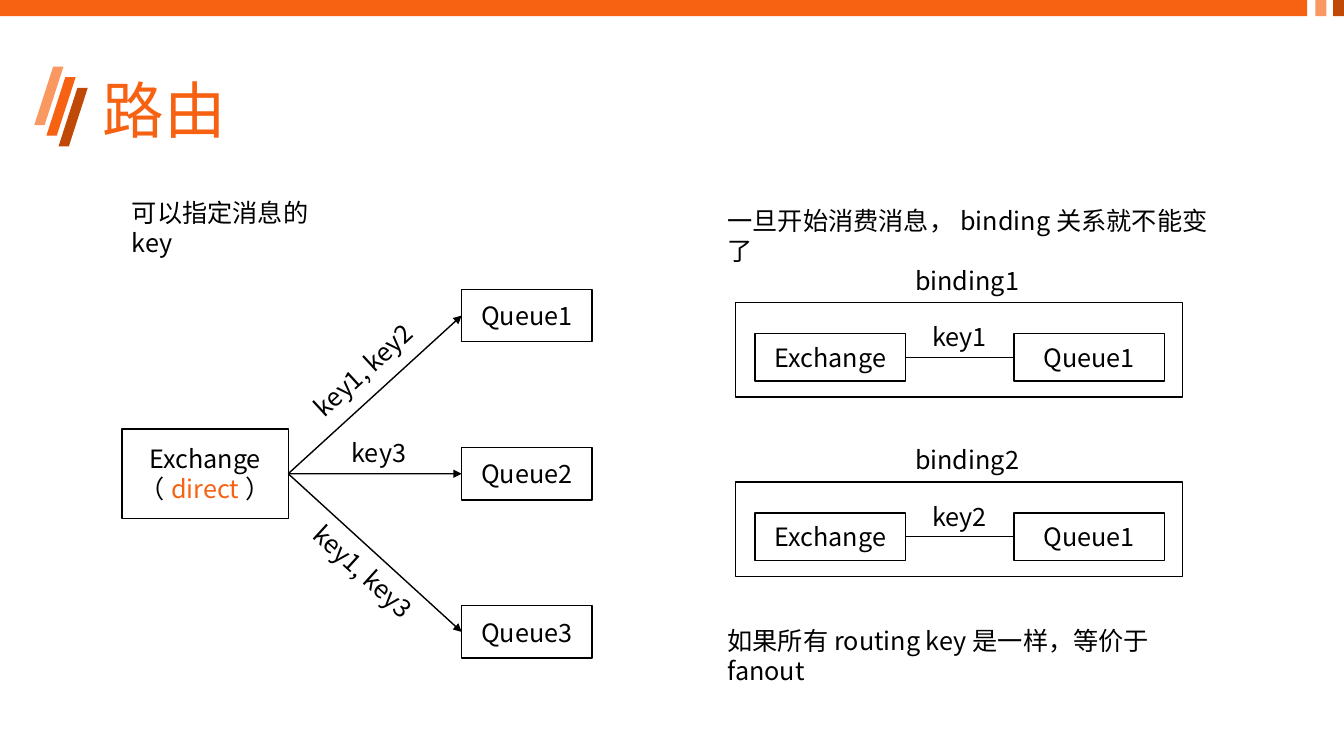
from lxml.etree import SubElement
from pptx import Presentation
from pptx.dml.color import RGBColor
from pptx.enum.shapes import MSO_CONNECTOR, MSO_SHAPE
from pptx.enum.text import MSO_ANCHOR, PP_ALIGN
from pptx.oxml.ns import qn
from pptx.util import Pt

FONT = "Noto Sans CJK SC"
BLACK = RGBColor(0, 0, 0)
WHITE = RGBColor(255, 255, 255)
ORANGE = RGBColor(0xF7, 0x62, 0x12)
LIGHT = RGBColor(0xFA, 0x98, 0x62)
DARK = RGBColor(0xC1, 0x49, 0x07)

TITLE = "路由"
# Parts between bars take the accent colour
SOURCE = ["Exchange", "（|direct|）"]
QUEUES = ["Queue1", "Queue2", "Queue3"]
# text, left, top, width, rotation
KEYS = [
    ("key1, key2", 208.8, 249.8, 101.5, 317.5),
    ("key1, key3", 208.8, 393.8, 101.5, 42.4),
    ("key3", 244.1, 308.9, 53.3, 0),
]
# text, left, top, width
NOTES = [
    ("可以指定消息的key", 87.1, 137.5, 165),
    ("一旦开始消费消息，binding关系就不能变了", 512.6, 143.3, 369.4),
    ("如果所有routing key是一样，等价于fanout", 512.6, 442.8, 364.3),
]
BINDINGS = [("binding1", "key1"), ("binding2", "key2")]

MID = 338.4          # middle of the routing diagram
QUEUE_GAP = 113      # from one queue to the next
FRAME_TOP, FRAME_GAP = 216, 128.2
LABEL_H = 28.8

prs = Presentation()
prs.slide_width, prs.slide_height = Pt(960), Pt(540)
slide = prs.slides.add_slide(prs.slide_layouts[6])


def write(frame, lines, size=18, color=BLACK, align=PP_ALIGN.LEFT):
    for i, line in enumerate(lines):
        para = frame.paragraphs[0] if i == 0 else frame.add_paragraph()
        para.alignment = align
        font = para.font
        font.size, font.name = Pt(size), FONT
        font.color.rgb = color
        props = para._p.pPr.find(qn("a:defRPr"))
        SubElement(props, qn("a:ea")).set("typeface", FONT)
        for j, part in enumerate(line.split("|")):
            run = para.add_run()
            run.text = part
            if j % 2:
                run.font.color.rgb = ORANGE


def shape(kind, left, top, width, height, fill):
    item = slide.shapes.add_shape(kind, Pt(left), Pt(top), Pt(width), Pt(height))
    item.shadow.inherit = False
    item.fill.solid()
    item.fill.fore_color.rgb = fill
    item.line.fill.background()
    return item


def box(left, top, width, height, lines=()):
    """Add a white, black-edged box with centred text."""
    item = shape(MSO_SHAPE.RECTANGLE, left, top, width, height, WHITE)
    item.line.color.rgb = BLACK
    item.line.width = Pt(1)
    item.text_frame.vertical_anchor = MSO_ANCHOR.MIDDLE
    write(item.text_frame, lines, align=PP_ALIGN.CENTER)
    return item


def label(text, left, top, width, height=LABEL_H, wrap=False, **style):
    item = slide.shapes.add_textbox(Pt(left), Pt(top), Pt(width), Pt(height))
    item.text_frame.word_wrap = wrap
    write(item.text_frame, [text], **style)
    return item


def link(start, end, arrow=False):
    """Join the right side of start to the left side of end."""
    line = slide.shapes.add_connector(MSO_CONNECTOR.STRAIGHT, 0, 0, 0, 0)
    line.begin_connect(start, 3)
    line.end_connect(end, 1)
    line.line.color.rgb = BLACK
    line.line.width = Pt(1)
    if arrow:
        SubElement(line.line._get_or_add_ln(), qn("a:tailEnd")).set("type", "triangle")
    SubElement(line._element.spPr, qn("a:effectLst"))


# Header
for i, color in enumerate([LIGHT, ORANGE, DARK]):
    slash = shape(MSO_SHAPE.PARALLELOGRAM, 24.5 + 8.65 * i, 47.5 + 7.6 * i, 20.9, 41.8, color)
    slash.adjustments[0] = 0.646
for left, width, color in [(0, 933.8, ORANGE), (939.6, 7.9, LIGHT), (952.3, 7.7, DARK)]:
    shape(MSO_SHAPE.RECTANGLE, left, 0, width, 11.5, color)
title = label(TITLE, 66.2, 28.8, 828, 104.4, wrap=True, size=44, color=ORANGE)
title.text_frame.vertical_anchor = MSO_ANCHOR.MIDDLE
title.text_frame.paragraphs[0].line_spacing = 0.9

# Routing diagram
source = box(87.1, MID - 32, 118.8, 64, SOURCE)
for i, name in enumerate(QUEUES):
    queue = box(329.8, MID + (i - 1) * QUEUE_GAP - 18.7, 93, 37.4, [name])
    link(source, queue, arrow=True)
for text, left, top, width, angle in KEYS:
    label(text, left, top, width).rotation = angle

# Bindings
for i, (name, key) in enumerate(BINDINGS):
    top = FRAME_TOP + i * FRAME_GAP
    box(525.6, top, 319, 67.7)
    ends = [box(left, top + 22.3, 107.6, 33.8, [text])
            for left, text in [(539.3, "Exchange"), (724.3, "Queue1")]]
    link(*ends)
    label(key, 658.8, top + 10.1, 53.3)
    label(name, 646.6, top - 30.2, 88.6)

for text, left, top, width in NOTES:
    label(text, left, top, width, wrap=True)

prs.save("out.pptx")
